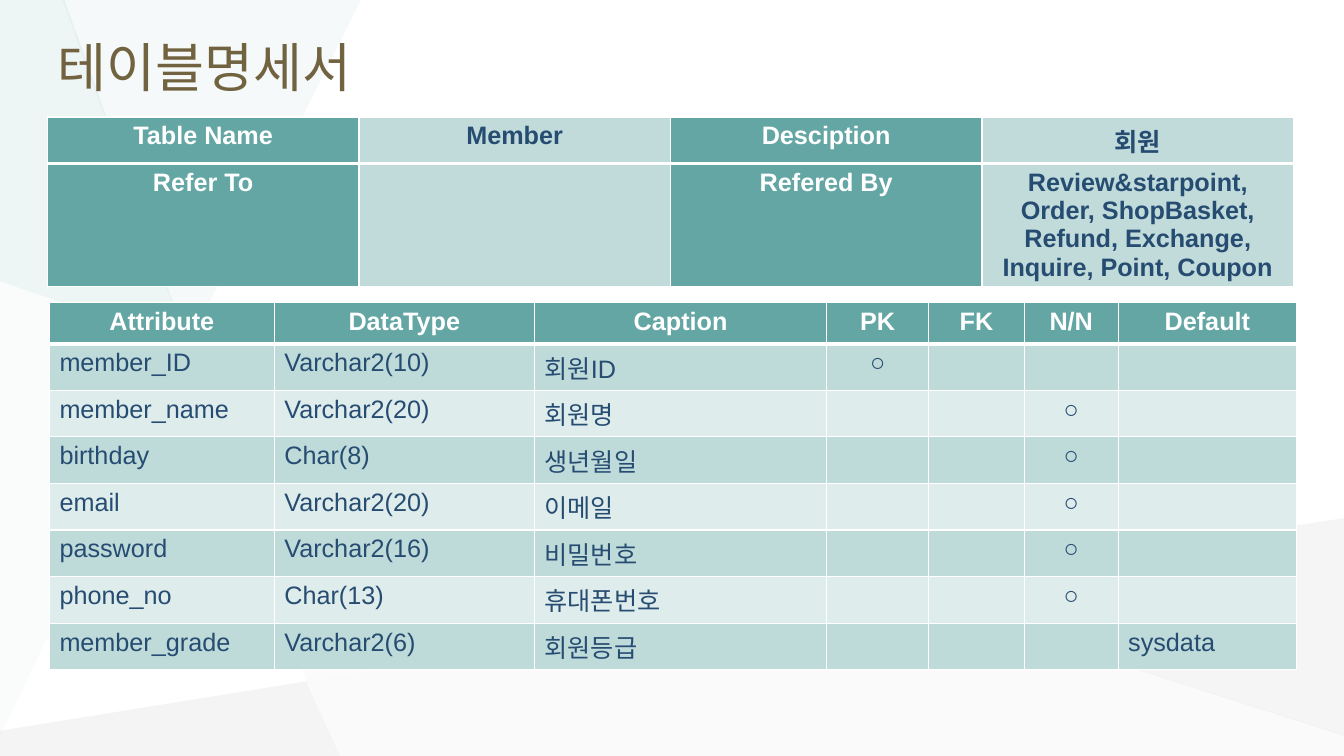
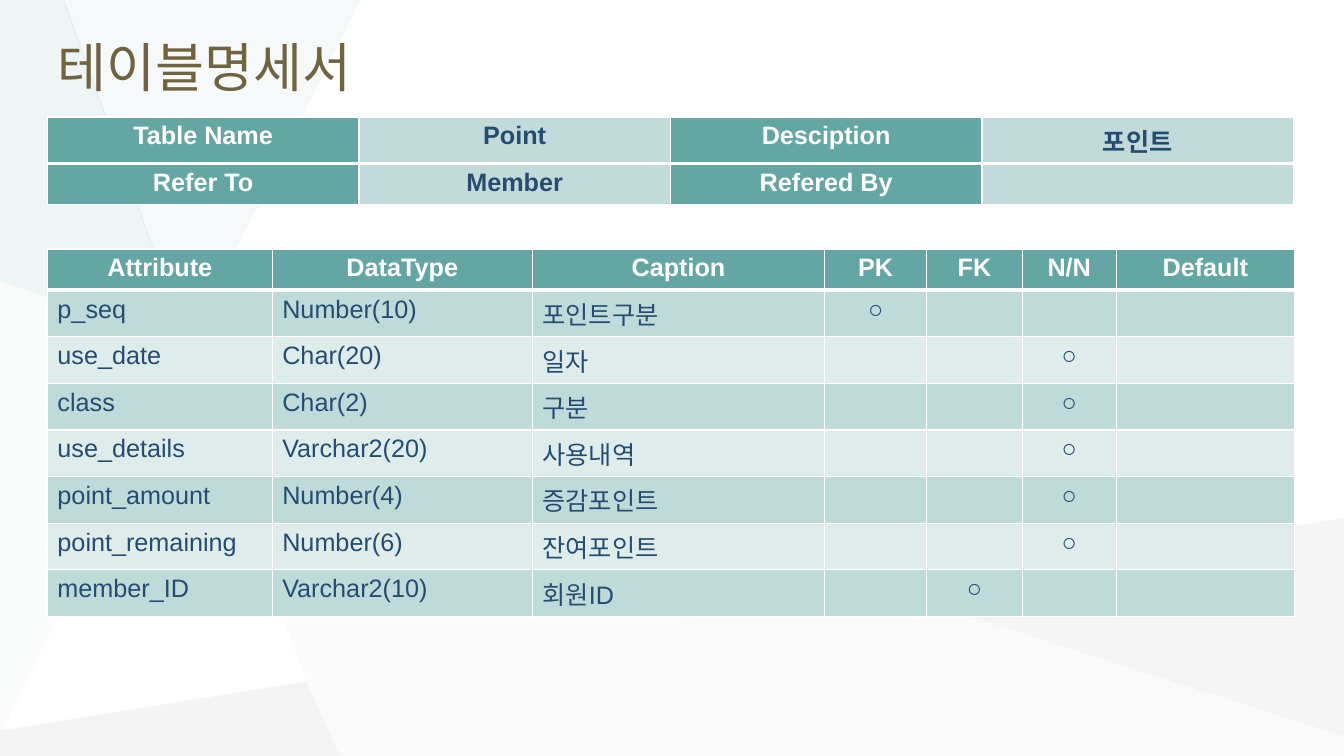
"""Builds two table specification slides on a shared faceted background."""
from pptx import Presentation
from pptx.dml.color import RGBColor
from pptx.enum.text import MSO_ANCHOR, PP_ALIGN
from pptx.oxml.ns import qn
from pptx.util import Inches, Pt
from lxml.etree import SubElement, Element

FONT = "Arial"
WHITE = RGBColor(0xFF, 0xFF, 0xFF)
NAVY = RGBColor(0x26, 0x4C, 0x72)
OLIVE = RGBColor(0x71, 0x63, 0x40)
TEAL = RGBColor(0x63, 0xA6, 0xA4)
BANDS = (RGBColor(0xBE, 0xDA, 0xD9), RGBColor(0xDF, 0xEC, 0xEC))
WARM_GREY = RGBColor(0xF3, 0xF2, 0xF2)
GREY = RGBColor(0xB6, 0xB8, 0xBA)
LIGHT_GREY = RGBColor(0xC6, 0xC8, 0xCA)
MIST = RGBColor(0xE0, 0xED, 0xED)
MINT = RGBColor(0xC1, 0xDB, 0xDB)

FACETS = (
    (WARM_GREY, 26, ((1.9, 3.44), (2.39, 5), (3.04, 6.76), (8.79, 5.85))),
    (GREY, 15, ((3.04, 6.76), (0, 7.25), (0, 7.5), (3.37, 7.5))),
    (MIST, 31, ((3.58, 0), (0.62, 0), (1.86, 3.43))),
    (LIGHT_GREY, 17, ((13.33, 5.14), (8.79, 5.85), (13.33, 7.3))),
    (GREY, 6, ((8.79, 5.85), (3.05, 6.76), (3.37, 7.5), (13.33, 7.5), (13.33, 7.29))),
    (MINT, 27, ((0.64, 0), (0, 0), (0, 2.79), (1.87, 3.43))),
    (MINT, 8, ((0, 2.79), (0, 7.3), (1.87, 3.43))),
)

LEFT, SUMMARY_TOP, ROW_H = 0.47, 1.16, 0.41
SUMMARY_COLS = (3.09,) * 4
FIELD_COLS = (2.23, 2.58, 2.9, 1.01, 0.95, 0.93, 1.77)
HEADER = ("Attribute", "DataType", "Caption", "PK", "FK", "N/N", "Default")
FLAGS = HEADER[3:6]
MARK = "○"

SPECS = (
    dict(
        name="Member", description="회원", refer_to="",
        refered_by="Review&starpoint, Order, ShopBasket, Refund, Exchange, "
                   "Inquire, Point, Coupon",
        left=0.49, top=3,
        fields=(
            ("member_ID", "Varchar2(10)", "회원ID", "PK", ""),
            ("member_name", "Varchar2(20)", "회원명", "N/N", ""),
            ("birthday", "Char(8)", "생년월일", "N/N", ""),
            ("email", "Varchar2(20)", "이메일", "N/N", ""),
            ("password", "Varchar2(16)", "비밀번호", "N/N", ""),
            ("phone_no", "Char(13)", "휴대폰번호", "N/N", ""),
            ("member_grade", "Varchar2(6)", "회원등급", "", "sysdata"),
        ),
    ),
    dict(
        name="Point", description="포인트", refer_to="Member", refered_by="",
        left=LEFT, top=2.47,
        fields=(
            ("p_seq", "Number(10)", "포인트구분", "PK", ""),
            ("use_date", "Char(20)", "일자", "N/N", ""),
            ("class", "Char(2)", "구분", "N/N", ""),
            ("use_details", "Varchar2(20)", "사용내역", "N/N", ""),
            ("point_amount", "Number(4)", "증감포인트", "N/N", ""),
            ("point_remaining", "Number(6)", "잔여포인트", "N/N", ""),
            ("member_ID", "Varchar2(10)", "회원ID", "FK", ""),
        ),
    ),
)


def set_fill(fill, element, color, opacity=100):
    """Fill a shape or cell with a colour at an opacity in percent."""
    fill.solid()
    fill.fore_color.rgb = color
    if opacity < 100:
        clr = next(element.iter(qn("a:srgbClr")))
        SubElement(clr, qn("a:alpha"), val=str(opacity * 1000))


def set_borders(cell, top, bottom):
    """Give a cell white borders, with top and bottom widths in points."""
    tc_pr = cell._tc.get_or_add_tcPr()
    widths = (("a:lnL", 1), ("a:lnR", 1), ("a:lnT", top), ("a:lnB", bottom))
    for i, (tag, width) in enumerate(widths):
        ln = Element(qn(tag), w=str(Pt(width)))
        solid = SubElement(ln, qn("a:solidFill"))
        SubElement(solid, qn("a:srgbClr"), val=str(WHITE))
        tc_pr.insert(i, ln)


def write(tf, text, size=18, color=NAVY, bold=False, align=PP_ALIGN.LEFT):
    """Write one formatted run into a text frame."""
    p = tf.paragraphs[0]
    p.alignment = align
    if text:
        r = p.add_run()
        r.text = text
        r.font.name, r.font.size = FONT, Pt(size)
        r.font.bold, r.font.color.rgb = bold, color


def add_facets(slide):
    """Draw the translucent background facets in the slide's layout."""
    layout_tree = slide.slide_layout.shapes.element
    for i, (color, opacity, points) in enumerate(FACETS):
        start, *rest = [(Inches(x), Inches(y)) for x, y in points]
        builder = slide.shapes.build_freeform(*start)
        builder.add_line_segments(rest, close=True)
        sp = builder.convert_to_shape()
        sp.shadow.inherit = False
        set_fill(sp.fill, sp.element.spPr, color, opacity)
        sp.line.fill.background()
        layout_tree.insert(2 + i, sp.element)


def add_title(slide, text):
    """Place and format the slide title."""
    title = slide.shapes.title
    title.left, title.top = Inches(LEFT), Inches(0.14)
    title.width, title.height = Inches(12.36), Inches(1.03)
    title.text_frame.vertical_anchor = MSO_ANCHOR.MIDDLE
    write(title.text_frame, text, size=38, color=OLIVE)


def add_grid(slide, rows, cols, left, top, style):
    """Add a table whose cell formats come from style(row, column, text)."""
    frame = slide.shapes.add_table(
        len(rows), len(cols), Inches(left), Inches(top),
        Inches(sum(cols)), Inches(ROW_H * len(rows)))
    table = frame.table
    for column, width in zip(table.columns, cols):
        column.width = Inches(width)
    for i, row in enumerate(rows):
        table.rows[i].height = Inches(ROW_H)
        for j, text in enumerate(row):
            cell = table.cell(i, j)
            color, opacity, font = style(i, j, text)
            set_fill(cell.fill, cell._tc, color, opacity)
            set_borders(cell, top=3 if i == 1 else 1, bottom=3 if i == 0 else 1)
            write(cell.text_frame, text, **font)


def summary_style(row, col, text):
    """Style labels in solid teal and their values in pale teal."""
    label = col % 2 == 0
    font = dict(color=WHITE if label else NAVY, bold=True, align=PP_ALIGN.CENTER)
    return TEAL, 100 if label else 40, font


def field_style(row, col, text):
    """Style the header row, then alternate the body bands."""
    if row == 0:
        return TEAL, 100, dict(color=WHITE, bold=True, align=PP_ALIGN.CENTER)
    align = PP_ALIGN.CENTER if text == MARK else PP_ALIGN.LEFT
    return BANDS[(row - 1) % 2], 100, dict(align=align)


def add_spec(slide, spec):
    """Add the summary table and the field table of one specification."""
    summary = (
        ("Table Name", spec["name"], "Desciption", spec["description"]),
        ("Refer To", spec["refer_to"], "Refered By", spec["refered_by"]),
    )
    fields = [HEADER]
    for name, data_type, caption, flag, default in spec["fields"]:
        marks = [MARK if flag == f else "" for f in FLAGS]
        fields.append((name, data_type, caption, *marks, default))
    add_grid(slide, fields, FIELD_COLS, spec["left"], spec["top"], field_style)
    add_grid(slide, summary, SUMMARY_COLS, LEFT, SUMMARY_TOP, summary_style)


def main():
    """Build and save the presentation."""
    prs = Presentation()
    prs.slide_width, prs.slide_height = Inches(13.33), Inches(7.5)
    layout = prs.slide_layouts[5]
    for i, spec in enumerate(SPECS):
        slide = prs.slides.add_slide(layout)
        if i == 0:
            add_facets(slide)
        add_title(slide, "테이블명세서")
        add_spec(slide, spec)
    prs.save("out.pptx")


if __name__ == "__main__":
    main()
